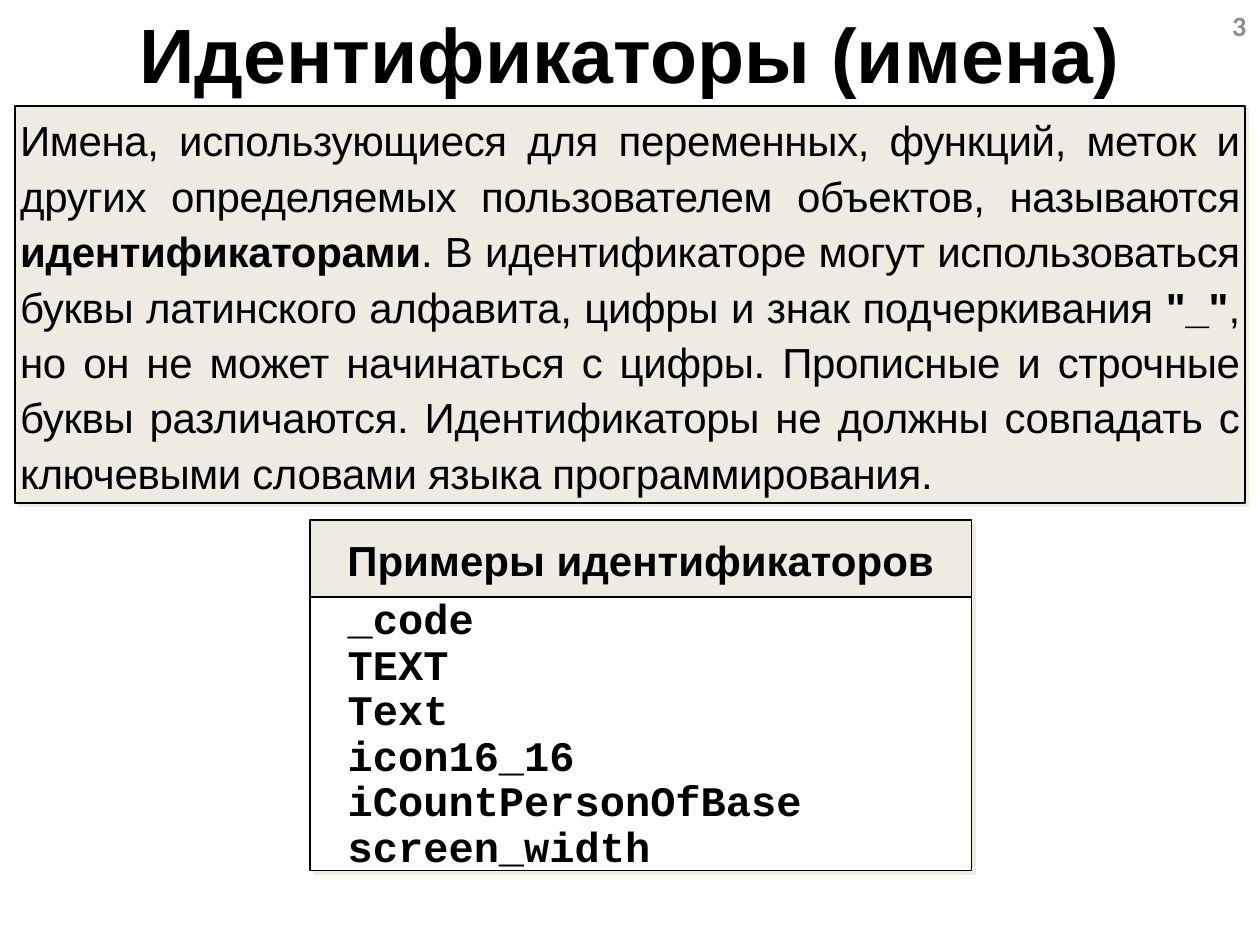
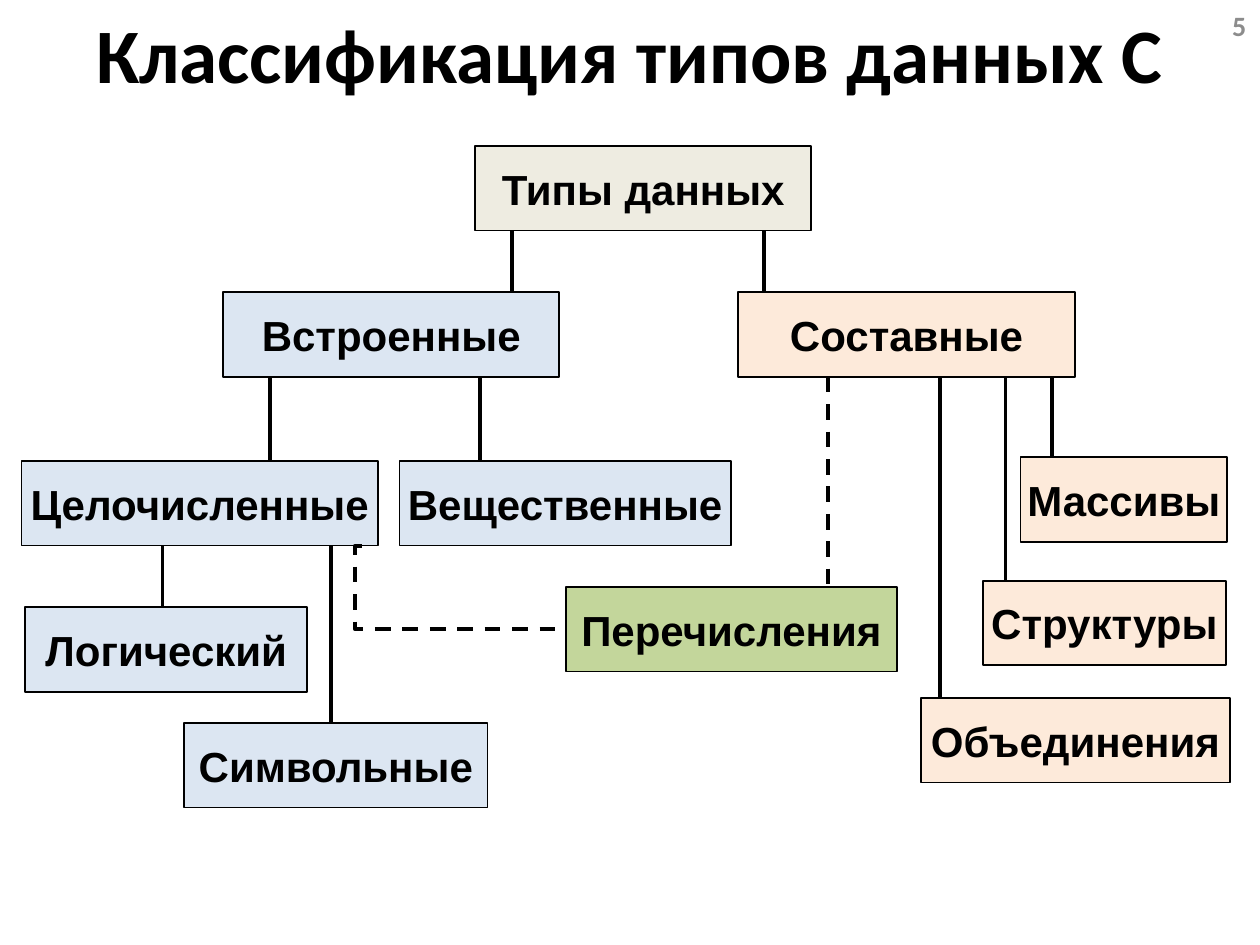
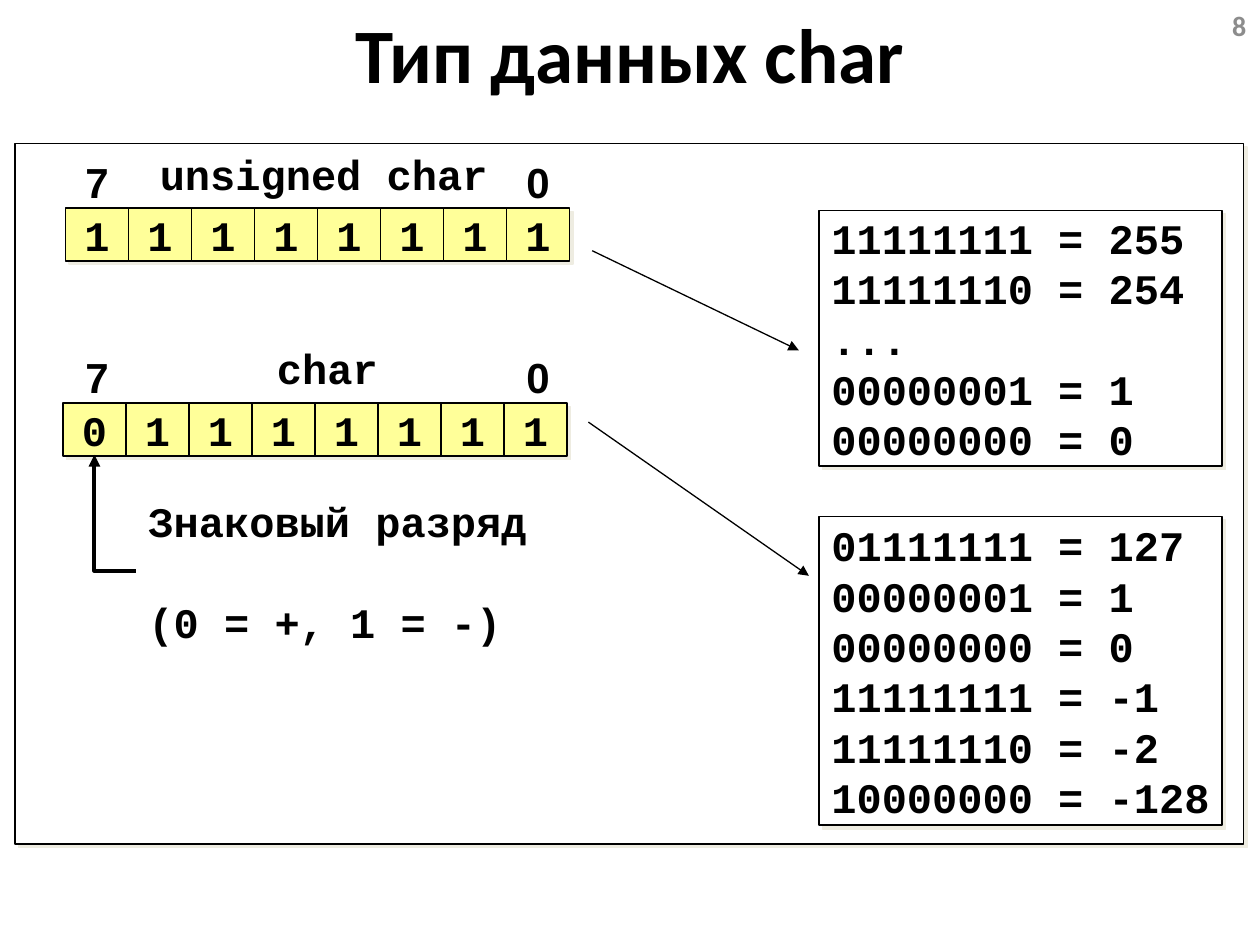
"""Builds three slides on the C language: identifiers, data types and char."""
from lxml.etree import SubElement
from pptx import Presentation
from pptx.dml.color import RGBColor
from pptx.enum.dml import MSO_LINE
from pptx.enum.shapes import MSO_CONNECTOR as CONN, MSO_SHAPE
from pptx.enum.text import MSO_ANCHOR, PP_ALIGN as AL
from pptx.oxml.ns import qn
from pptx.util import Inches, Pt

COLORS = {"black": "000000", "white": "FFFFFF", "grey": "8C8C8C", "cream": "EEECE1",
          "blue": "DCE6F2", "peach": "FDEADA", "green": "C3D69B", "yellow": "FFFF99"}
SANS, HEAD, MONO = "Arial", "Calibri", "Courier New"

DEFINITION = [
    ("Имена, использующиеся для переменных, функций, меток и других определяемых "
     "пользователем объектов, называются ", False),
    ("идентификаторами", True),
    (". В идентификаторе могут использоваться буквы латинского алфавита, цифры и знак "
     "подчеркивания ", False),
    ('"_"', True),
    (", но он не может начинаться с цифры. Прописные и строчные буквы различаются. "
     "Идентификаторы не должны совпадать с ключевыми словами языка программирования.", False),
]
EXAMPLES = ["_code", "TEXT", "Text", "icon16_16", "iCountPersonOfBase", "screen_width"]

NODE_H = 0.67
NODES = {
    "Типы данных": (3.77, 1.16, 2.67, "cream"),
    "Встроенные": (1.77, 2.32, 2.67, "blue"),
    "Составные": (5.86, 2.32, 2.67, "peach"),
    "Целочисленные": (0.17, 3.66, 2.83, "blue"),
    "Вещественные": (3.17, 3.66, 2.63, "blue"),
    "Массивы": (8.1, 3.63, 1.64, "peach"),
    "Объединения": (7.31, 5.54, 2.45, "peach"),
    "Структуры": (7.8, 4.61, 1.93, "peach"),
    "Логический": (0.2, 4.82, 2.24, "blue"),
    "Символьные": (1.46, 5.74, 2.41, "blue"),
    "Перечисления": (4.49, 4.66, 2.63, "green"),
}
BRANCHES = [
    ("Типы данных", "Встроенные", 4.06),
    ("Типы данных", "Составные", 6.06),
    ("Встроенные", "Целочисленные", 2.14),
    ("Встроенные", "Вещественные", 3.81),
    ("Составные", "Объединения", 7.46),
    ("Составные", "Структуры", 7.98),
    ("Составные", "Массивы", 8.35),
    ("Целочисленные", "Логический", 1.29),
    ("Целочисленные", "Символьные", 2.63),
    ("Составные", "Перечисления", 6.57),
]

BIT_W, BIT_H, BIT_LABEL_X = 0.5, 0.42, 0.52
BYTES = [("11111111", 0.52, 1.65), ("01111111", 0.5, 3.2)]
TYPE_NAMES = [("unsigned char", (1.17, 1.17, 2.83, 0.42)), ("char", (2.1, 2.71, 1.17, 0.42))]
VALUES = [
    (["11111111 = 255", "11111110 = 254", "...", "00000001 = 1", "00000000 = 0"],
     (6.5, 1.67, 3.2, 2.03)),
    (["01111111 = 127", "00000001 = 1", "00000000 = 0", "11111111 = -1",
      "11111110 = -2", "10000000 = -128"], (6.5, 4.1, 3.2, 2.45)),
]
VALUE_ARROWS = [((4.7, 1.99), (6.34, 2.78)), ((4.67, 3.35), (6.42, 4.57))]
SIGN_NOTE = ["Знаковый разряд", "(0 = +, 1 = -)"]


def rgb(name):
    return RGBColor.from_string(COLORS[name])


def write(sp, lines, font=SANS, size=24, color="black", align=AL.LEFT, spacing=None,
          insets=(0.1, 0.05, 0.1, 0.05)):
    tf = sp.text_frame
    tf.word_wrap = True
    tf.vertical_anchor = MSO_ANCHOR.MIDDLE
    tf.margin_left, tf.margin_top, tf.margin_right, tf.margin_bottom = map(Inches, insets)
    for i, line in enumerate(lines):
        p = tf.add_paragraph() if i else tf.paragraphs[0]
        p.alignment, p.line_spacing = align, spacing
        p.font.name, p.font.size, p.font.bold = font, Pt(size), True
        p.font.color.rgb = rgb(color)
        for text, bold in [(line, None)] if isinstance(line, str) else line:
            r = p.add_run()
            r.text, r.font.bold = text, bold
    return tf


def add_text(s, box, lines, **style):
    return write(s.shapes.add_textbox(*map(Inches, box)), lines, **style)


def add_box(s, box, fill, lines=(), shadow=True, **style):
    sp = s.shapes.add_shape(MSO_SHAPE.RECTANGLE, *map(Inches, box))
    sp.fill.solid()
    sp.fill.fore_color.rgb = rgb(fill)
    sp.line.color.rgb = rgb("black")
    sp.line.width = Pt(1)
    sp.shadow.inherit = False
    if shadow:
        effects = sp._element.spPr.find(qn("a:effectLst"))
        outer = SubElement(effects, qn("a:outerShdw"), dist=str(Pt(2.8)), dir="2700000",
                           algn="ctr", rotWithShape="0")
        SubElement(outer, qn("a:srgbClr"), val=COLORS["cream"])
    write(sp, lines, **style)
    return sp


def add_line(s, start, end, width=2.25, dashed=False, arrow=False, bend=None, adjust=None):
    kind = CONN.ELBOW if bend else CONN.STRAIGHT
    c = s.shapes.add_connector(kind, *map(Inches, (*start, *end)))
    c.line.color.rgb = rgb("black")
    c.line.width = Pt(width)
    if dashed:
        c.line.dash_style = MSO_LINE.DASH
    spPr = c._element.spPr
    if arrow:
        SubElement(spPr.find(qn("a:ln")), qn("a:tailEnd"), type="triangle")
    if bend:
        geom = spPr.find(qn("a:prstGeom"))
        geom.set("prst", bend)
        if adjust is not None:
            SubElement(geom.find(qn("a:avLst")), qn("a:gd"), name="adj1", fmla=f"val {adjust}")
    SubElement(spPr, qn("a:effectLst"))


def new_slide(prs, number, title, font=HEAD):
    s = prs.slides.add_slide(prs.slide_layouts[6])
    add_text(s, (7.66, 0, 2.33, 0.4), [str(number)], font=HEAD, size=16, color="grey",
             align=AL.RIGHT)
    add_text(s, (0, 0, 10, 0.84), [title], font=font, size=44, align=AL.CENTER)
    return s


def identifiers_slide(prs):
    s = new_slide(prs, 3, "Идентификаторы (имена)", SANS)
    definition = add_box(s, (0.12, 0.84, 9.76, 3.15), "cream", [DEFINITION], align=AL.JUSTIFY,
                         spacing=1.1, insets=(0.04, 0.04, 0.04, 0.05))
    for r in definition.text_frame.paragraphs[0].runs:
        r.font._element.set("spc", "-20")
    add_box(s, (2.46, 4.13, 5.25, 0.63), "cream", ["Примеры идентификаторов"], align=AL.CENTER)
    add_box(s, (2.46, 4.74, 5.25, 2.17), "white", EXAMPLES, font=MONO, spacing=Pt(26),
            insets=(0.3, 0.05, 0.1, 0.05))


def types_slide(prs):
    s = new_slide(prs, 5, "Классификация типов данных С")
    for name, (x, y, w, fill) in NODES.items():
        add_box(s, (x, y, w, NODE_H), fill, [name], shadow=False, align=AL.CENTER,
                insets=(0.04, 0.05, 0.04, 0.05))
    for parent, child, x in BRANCHES:
        add_line(s, (x, NODES[parent][1] + NODE_H), (x, NODES[child][1]),
                 dashed=child == "Перечисления")
    enum_x, enum_y = NODES["Перечисления"][:2]
    add_line(s, (2.87, NODES["Целочисленные"][1] + NODE_H), (enum_x, enum_y + NODE_H / 2),
             dashed=True, bend="bentConnector3", adjust=-3100)


def char_slide(prs):
    s = new_slide(prs, 8, "Тип данных char")
    add_box(s, (0.12, 1.14, 9.75, 5.56), "white")
    for bits, left, top in BYTES:
        for i, bit in enumerate(bits):
            add_box(s, (left + i * BIT_W, top, BIT_W, BIT_H), "yellow", [bit],
                    font=MONO, align=AL.CENTER)
        for i, label in ((0, "7"), (len(bits) - 1, "0")):
            add_text(s, (BIT_LABEL_X + i * BIT_W, top - BIT_H, BIT_W, BIT_H), [label],
                     align=AL.CENTER)
    for name, box in TYPE_NAMES:
        add_text(s, box, [name], font=MONO)
    note = add_text(s, (1.08, 3.99, 3.25, 1.08), SIGN_NOTE, font=MONO)
    note.paragraphs[1].space_before = Pt(29)
    add_line(s, (1.08, 4.53), (0.75, 3.61), arrow=True, bend="bentConnector2")
    for lines, box in VALUES:
        add_box(s, box, "white", lines, font=MONO, insets=(0.1, 0.05, 0, 0.05))
    for start, end in VALUE_ARROWS:
        add_line(s, start, end, width=0.75, arrow=True)


def main():
    prs = Presentation()
    prs.slide_width, prs.slide_height = Inches(10), Inches(7.5)
    identifiers_slide(prs)
    types_slide(prs)
    char_slide(prs)
    prs.save("out.pptx")


if __name__ == "__main__":
    main()
